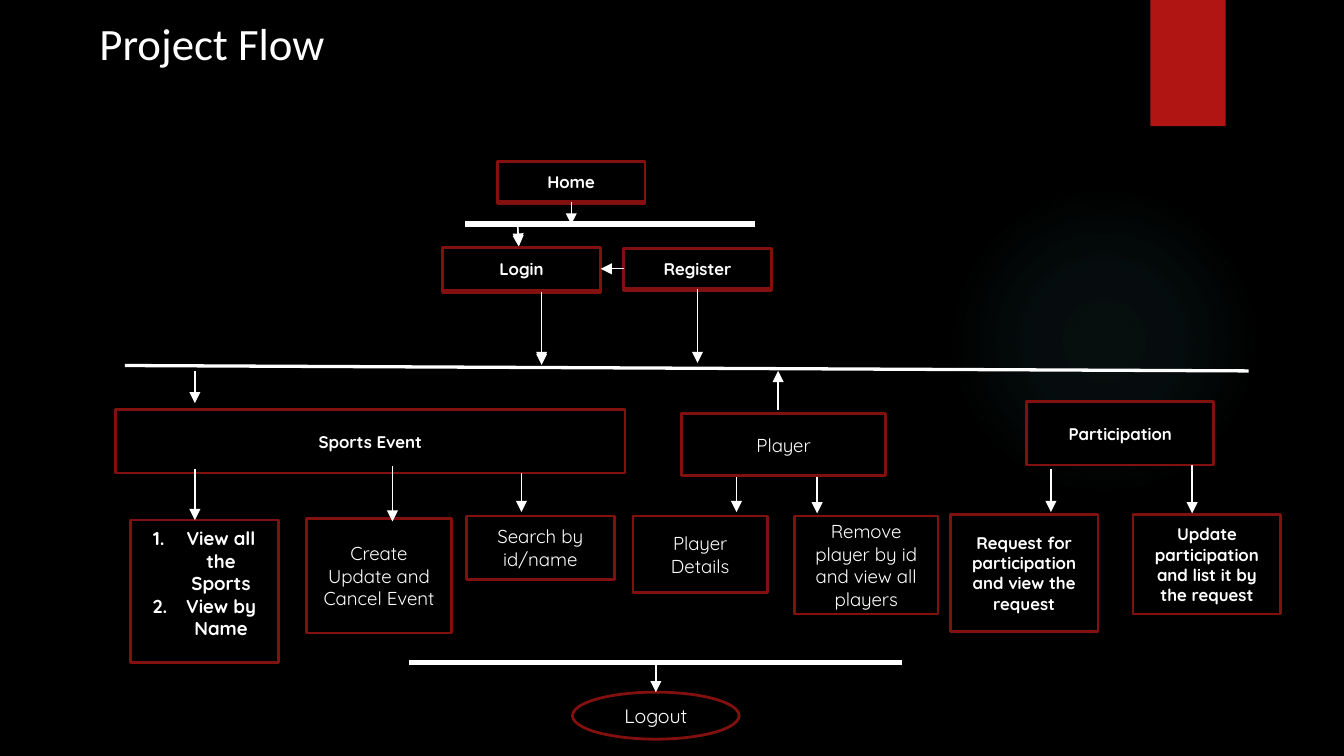
from dataclasses import dataclass
from typing import Any

from lxml.etree import SubElement
from pptx import Presentation
from pptx.dml.color import RGBColor
from pptx.enum.shapes import MSO_CONNECTOR, MSO_SHAPE
from pptx.enum.text import MSO_ANCHOR, PP_ALIGN
from pptx.oxml import parse_xml
from pptx.oxml.ns import nsdecls, qn
from pptx.util import Inches, Pt

BLACK = RGBColor(0x00, 0x00, 0x00)
WHITE = RGBColor(0xFF, 0xFF, 0xFF)
RED = RGBColor(0xB0, 0x15, 0x13)
DARK_RED = RGBColor(0x82, 0x10, 0x0E)
GLOW = RGBColor(0x50, 0xB9, 0xC1)

SLIDE_WIDTH, SLIDE_HEIGHT = Inches(10), Inches(5.625)
CELL = SLIDE_WIDTH // 100  # square grid, 100 columns across the slide
TOP, LEFT, BOTTOM, RIGHT = range(4)  # connection sites


@dataclass(frozen=True)
class Box:
    """A node of the flow, placed in grid columns and rows."""
    label: str
    column: float
    row: float
    columns: float
    rows: float
    size: float = 9
    bold: bool = True
    preset: MSO_SHAPE = MSO_SHAPE.RECTANGLE
    numbered: bool = False


@dataclass(frozen=True)
class Line:
    """A straight line between two grid points."""
    start: tuple[float, float]
    end: tuple[float, float]
    width: float = 0.75
    arrow: bool = True


def cells(*counts: float) -> list[int]:
    return [round(count * CELL) for count in counts]


def apply(target: Any, values: dict[str, Any]) -> None:
    for name, value in values.items():
        setattr(target, name, value)


def set_font(paragraph: Any, face: str, size: float, bold: bool = False) -> None:
    apply(paragraph.font, {"name": face, "size": Pt(size), "bold": bold})
    paragraph.font.color.rgb = WHITE


def draw_box(slide: Any, box: Box, drop: float = 0) -> Any:
    shape = slide.shapes.add_shape(
        box.preset, *cells(box.column, box.row + drop, box.columns, box.rows))
    shape.shadow.inherit = False
    shape.fill.solid()
    shape.fill.fore_color.rgb = BLACK
    shape.line.color.rgb = DARK_RED
    shape.line.width = Pt(1.5)
    frame = shape.text_frame
    apply(frame, {"text": box.label, "word_wrap": True,
                  "vertical_anchor": MSO_ANCHOR.MIDDLE})
    if box.numbered:
        frame.margin_bottom = Inches(0.17)
    for paragraph in frame.paragraphs:
        paragraph.alignment = PP_ALIGN.CENTER
        if box.numbered:
            properties = paragraph._p.get_or_add_pPr()
            properties.set("marL", str(Inches(0.25)))
            properties.set("indent", str(-Inches(0.25)))
            SubElement(properties, qn("a:buAutoNum"), type="arabicPeriod")
        set_font(paragraph, "Quicksand", box.size, box.bold)
        for run in paragraph.runs:
            set_font(run, "Quicksand", box.size, box.bold)
    return shape


def draw_line(slide: Any, line: Line, drop: float = 0) -> Any:
    (start_column, start_row), (end_column, end_row) = line.start, line.end
    connector = slide.shapes.add_connector(
        MSO_CONNECTOR.STRAIGHT,
        *cells(start_column, start_row + drop, end_column, end_row + drop))
    connector.line.color.rgb = WHITE
    connector.line.width = Pt(line.width)
    properties = connector._element.spPr
    if line.arrow:
        SubElement(properties.find(qn("a:ln")), qn("a:tailEnd"), type="triangle")
    SubElement(properties, qn("a:effectLst"))
    return connector


def draw_backdrop(slide: Any) -> None:
    slide.background.fill.solid()
    slide.background.fill.fore_color.rgb = BLACK
    # Faint round glow
    glow = slide.shapes.add_shape(MSO_SHAPE.OVAL, *cells(70.6, 13.8, 23.1, 23.1))
    glow.shadow.inherit = False
    glow.line.fill.background()
    stops = "".join(
        f'<a:gs pos="{position}000"><a:srgbClr val="{GLOW}">'
        f'<a:alpha val="{opacity}000"/></a:srgbClr></a:gs>'
        for position, opacity in ((0, 7), (36, 6), (69, 0)))
    glow._element.spPr.find(qn("a:prstGeom")).addnext(parse_xml(
        f'<a:gradFill {nsdecls("a")}><a:gsLst>{stops}</a:gsLst><a:path path="circle">'
        '<a:fillToRect l="50000" t="50000" r="50000" b="50000"/></a:path></a:gradFill>'))
    # Red tab at the top edge
    tab = slide.shapes.add_shape(MSO_SHAPE.RECTANGLE, *cells(85.6, 0, 5.6, 9.4))
    tab.shadow.inherit = False
    tab.fill.solid()
    tab.fill.fore_color.rgb = RED
    tab.line.fill.background()


def draw_title(slide: Any, text: str) -> None:
    title = slide.shapes.title
    left, top, width, height = cells(5.7, 0.7, 21.8, 5)
    apply(title, {"left": left, "top": top, "width": width, "height": height})
    apply(title.text_frame, {"text": text, "word_wrap": False,
                             "vertical_anchor": MSO_ANCHOR.TOP,
                             "margin_left": Inches(0.17)})
    paragraph = title.text_frame.paragraphs[0]
    paragraph.alignment = PP_ALIGN.LEFT
    set_font(paragraph, "Calibri", 24)


HOME = Box("Home", 37, 12, 11, 3)
LOGIN = Box("Login", 32.9, 18.4, 11.8, 3.2)
REGISTER = Box("Register", 46.4, 18.5, 11, 3)
LOGOUT = Box("Logout", 42.6, 51.5, 12.4, 3.5, 10.5, False, MSO_SHAPE.OVAL)

ENTRY_LINES = [
    Line((34.6, 16.6), (56.2, 16.6), 2, False),
    Line((38.5, 16.5), (38.6, 18.2)),
    Line((40.3, 21.7), (40.3, 27)),
]
MODULES = [
    Box("Sports Event", 8.6, 30.5, 37.9, 4.7),
    Box("Player", 50.7, 30.8, 15.2, 4.6, 10, False),
    Box("Participation", 76.4, 29.9, 13.9, 4.7),
]
ACTIONS = [
    Box("View all the Sports\nView by Name", 9.7, 38.7, 11, 10.6, 10, numbered=True),
    Box("Create Update and Cancel Event", 22.8, 38.6, 10.8, 8.5, 10, False),
    Box("Search by id/name", 34.7, 38.4, 11, 4.7, 10, False),
    Box("Player Details", 47.1, 38.4, 10, 5.7, 10, False),
    Box("Remove player by id and view all players", 59.1, 38.4, 10.7, 7.3, 10, False),
    Box("Request for participation and view the request", 70.7, 38.3, 11, 8.7),
    Box("Update participation and list it by the request", 84.3, 38.3, 11, 7.4),
]
FLOW_LINES = [
    Line((9.3, 27.2), (92.9, 27.6), 1.75, False),
    Line((14.5, 27.6), (14.5, 30)),
    Line((57.9, 30.5), (57.9, 27.6)),
    Line((14.5, 34.9), (14.5, 38.7)),
    Line((29.2, 34.7), (29.2, 38.8)),
    Line((38.8, 35.2), (38.8, 38.1)),
    Line((54.8, 35.5), (54.8, 38.1)),
    Line((60.8, 35.5), (60.8, 38.2)),
    Line((78.2, 34.9), (78.2, 38.1)),
    Line((88.7, 34.6), (88.7, 38.2)),
    Line((30.4, 49.3), (67.1, 49.3), 2.25, False),
]


def main() -> None:
    presentation = Presentation()
    apply(presentation, {"slide_width": SLIDE_WIDTH, "slide_height": SLIDE_HEIGHT})
    slide = presentation.slides.add_slide(presentation.slide_layouts[5])
    draw_backdrop(slide)
    draw_title(slide, "Project Flow")

    # Entry steps, layered twice for a heavier lower edge
    for drop in (0.15, 0):
        home, login, register = [draw_box(slide, box, drop)
                                 for box in (HOME, LOGIN, REGISTER)]
        for line in ENTRY_LINES:
            draw_line(slide, line, drop)
    draw_line(slide, Line((42.5, 15), (42.5, 16.7))).begin_connect(home, BOTTOM)
    draw_line(slide, Line((51.9, 21.5), (51.9, 27))).begin_connect(register, BOTTOM)
    sign_in = draw_line(slide, Line((46.4, 20), (44.7, 20)))
    sign_in.begin_connect(register, LEFT)
    sign_in.end_connect(login, RIGHT)

    # Modules, their actions and the lines between them
    for box in MODULES + ACTIONS:
        draw_box(slide, box)
    for line in FLOW_LINES:
        draw_line(slide, line)

    # Exit
    logout = draw_box(slide, LOGOUT)
    draw_line(slide, Line((48.8, 49.3), (48.8, 51.5))).end_connect(logout, TOP)
    presentation.save("out.pptx")


if __name__ == "__main__":
    main()
